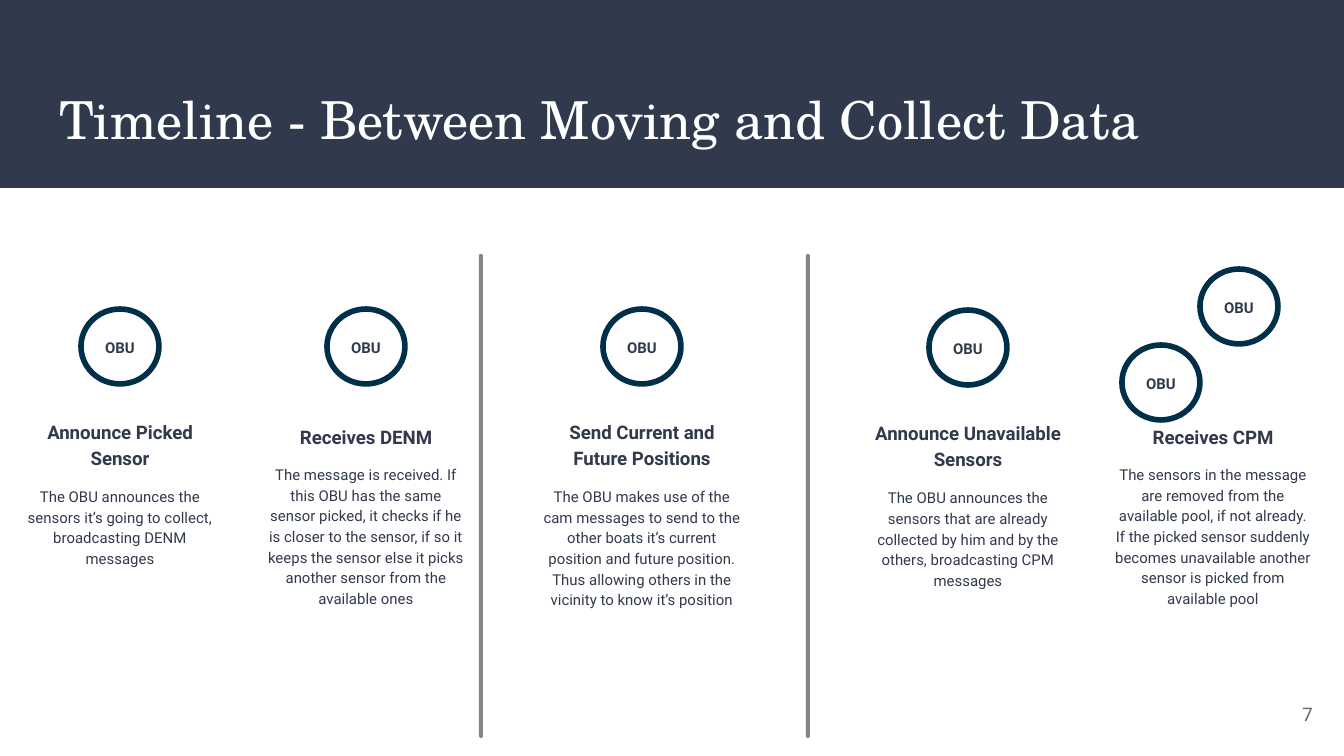
"""Builds the timeline slide covering the steps between moving and collecting data."""
from pptx import Presentation
from pptx.dml.color import RGBColor
from pptx.enum.shapes import MSO_SHAPE as Shape
from pptx.enum.text import MSO_ANCHOR as Anchor, PP_ALIGN as Align
from pptx.util import Pt

PX = 914400 / 134.4
NAVY, RING, GREY = "31394D", "002F4A", "858585"


def add_shape(kind, left, top, width, height, fill=None):
    shape = page.shapes.add_shape(kind, *[round(n * PX) for n in (left, top, width, height)])
    shape.shadow.inherit = False
    shape.line.fill.background()
    if fill:
        shape.fill.solid()
        shape.fill.fore_color.rgb = RGBColor.from_string(fill)
    else:
        shape.fill.background()
    return shape


def add_text(text, left, top, width, height, size, color=NAVY, bold=False,
             font="Roboto", align=Align.CENTER, anchor=Anchor.TOP, spacing=1.15):
    box = page.shapes.add_textbox(*[round(n * PX) for n in (left, top, width, height)])
    frame = box.text_frame
    frame.word_wrap = True
    frame.vertical_anchor = anchor
    frame.margin_left = frame.margin_right = frame.margin_top = frame.margin_bottom = Pt(7.2)
    frame.text = text
    paragraph = frame.paragraphs[0]
    paragraph.alignment = align
    paragraph.line_spacing = spacing
    span = paragraph.runs[0]
    span.font.name = font
    span.font.size = Pt(size)
    span.font.bold = bold
    span.font.color.rgb = RGBColor.from_string(color)


deck = Presentation()
deck.slide_width, deck.slide_height = round(1344 * PX), round(756 * PX)
page = deck.slides.add_slide(deck.slide_layouts[6])

add_shape(Shape.RECTANGLE, 0, 0, 1344, 188, NAVY)
add_text("Timeline - Between Moving and Collect Data", 46, 74, 1252, 91, 28, "FFFFFF",
         font="TeX Gyre Schola", align=Align.LEFT, spacing=1.0)

steps = [
    (8, 427, 94, "Announce Picked Sensor",
     "The OBU announces the sensors it’s going to collect, broadcasting DENM messages"),
    (254, 405, 169, "Receives DENM",
     "The message is received. If this OBU has the same sensor picked, it checks if he is closer "
     "to the sensor, if so it keeps the sensor else it picks another sensor from the available ones"),
    (530, 427, 183, "Send Current and Future Positions",
     "The OBU makes use of the cam messages to send to the other boats it’s current position and "
     "future position. Thus allowing others in the vicinity to know it’s position"),
    (856, 428, 159, "Announce Unavailable Sensors",
     "The OBU announces the sensors that are already collected by him and by the others, "
     "broadcasting CPM messages"),
    (1101, 405, 169, "Receives CPM",
     "The sensors in the message are removed from the available pool, if not already. If the picked "
     "sensor suddenly becomes unavailable another sensor is picked from available pool"),
]
for left, top, body_height, heading, body in steps:
    add_text(heading, left, top, 224, 56, 10, bold=True, anchor=Anchor.BOTTOM)
    add_text(body, left, top + 45, 224, body_height, 8)

for left, top in [(81, 309), (327, 309), (603, 309), (929, 310), (1122, 345), (1200, 269)]:
    ring = add_shape(Shape.OVAL, left, top, 78, 75)
    ring.line.color.rgb = RGBColor.from_string(RING)
    ring.line.width = Pt(3)
    add_text("OBU", left + 9, top + 17, 60, 40, 8, bold=True)

for center in (481, 808):
    divider = add_shape(Shape.ROUNDED_RECTANGLE, center - 2, 254, 4, 484, GREY)
    divider.adjustments[0] = 0.5

add_text("7", 1246, 685, 80, 58, 10, "666666", align=Align.RIGHT, anchor=Anchor.MIDDLE, spacing=1.0)

deck.save("out.pptx")
